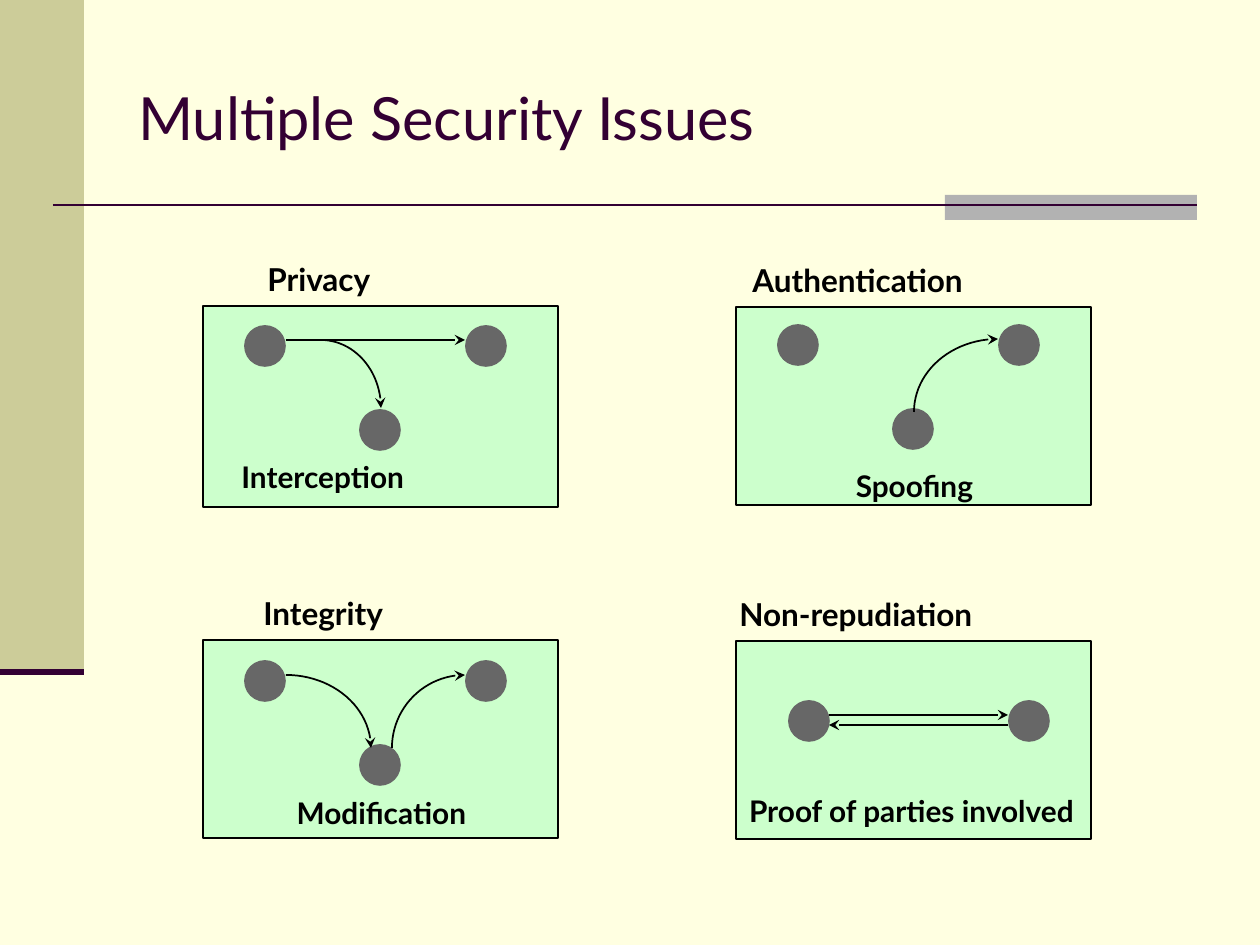
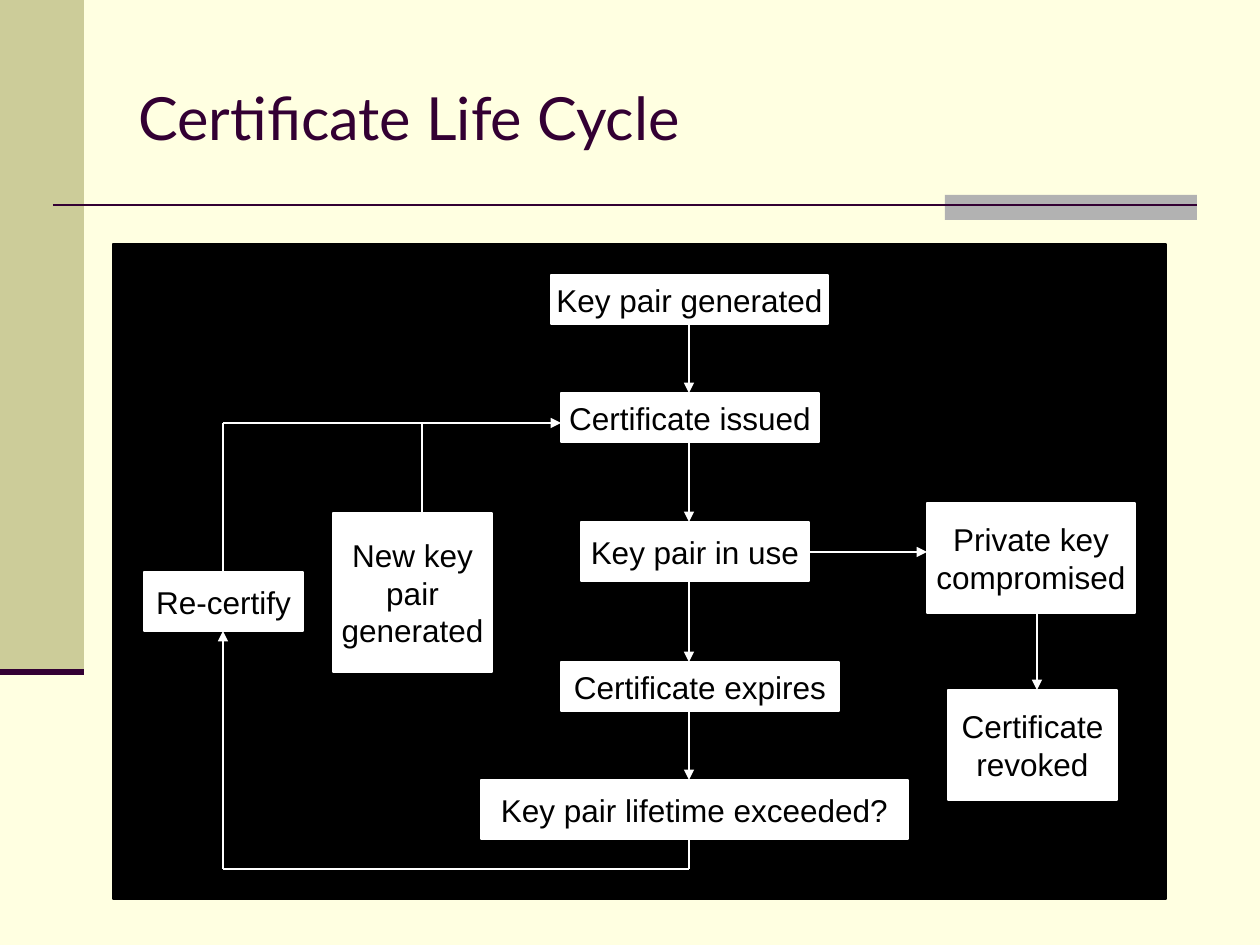
from math import cos, pi, sin

from lxml.etree import SubElement
from pptx import Presentation
from pptx.dml.color import RGBColor
from pptx.enum.shapes import MSO_CONNECTOR, MSO_SHAPE
from pptx.enum.text import MSO_ANCHOR, PP_ALIGN
from pptx.oxml.ns import qn
from pptx.util import Pt

SCALE = 914400 / 126
SLIDE_WIDTH, SLIDE_HEIGHT = 1260, 945

CREAM = "FFFFE1"
KHAKI = "CCCC99"
GREY = "B2B2B2"
PLUM = "330033"
MINT = "CCFFCC"
NODE_GREY = "676767"
BLACK = "000000"
WHITE = "FFFFFF"

PANEL_WIDTH = 355
NODE_SIZE = 40
ARC_STEPS = 24


def px(length):
    return round(length * SCALE)


def color(hex_string):
    return RGBColor.from_string(hex_string)


def paint_fill(fill, hex_string):
    fill.solid()
    fill.fore_color.rgb = color(hex_string)


def style_line(line, hex_string, width, arrow=None):
    line.color.rgb = color(hex_string)
    line.width = Pt(width)
    if arrow:
        properties = line._get_or_add_ln()
        SubElement(properties, qn("a:tailEnd"), type=arrow)


def add_preset(slide, kind, left, top, width, height, fill, outline=None, weight=1):
    shape = slide.shapes.add_shape(kind, px(left), px(top), px(width), px(height))
    shape.shadow.inherit = False
    paint_fill(shape.fill, fill)
    if outline:
        style_line(shape.line, outline, weight)
    else:
        shape.line.fill.background()
    return shape


def add_line(slide, start, end, hex_string, width, arrow=None):
    connector = slide.shapes.add_connector(
        MSO_CONNECTOR.STRAIGHT, px(start[0]), px(start[1]), px(end[0]), px(end[1])
    )
    style_line(connector.line, hex_string, width, arrow)
    SubElement(connector._element.spPr, qn("a:effectLst"))


def add_arc(slide, start, end, starts_flat):
    width, height = end[0] - start[0], end[1] - start[1]
    points = []
    for step in range(ARC_STEPS + 1):
        angle = step / ARC_STEPS * pi / 2
        eased, swept = 1 - cos(angle), sin(angle)
        across, down = (swept, eased) if starts_flat else (eased, swept)
        points.append((px(start[0] + width * across), px(start[1] + height * down)))
    builder = slide.shapes.build_freeform(*points[0])
    builder.add_line_segments(points[1:], close=False)
    arc = builder.convert_to_shape()
    arc.shadow.inherit = False
    arc.fill.background()
    style_line(arc.line, BLACK, 1, "stealth")


def write_text(shape, text, font_name, size, hex_string, bold=False, alignment=PP_ALIGN.LEFT):
    shape.text_frame.text = text
    for paragraph in shape.text_frame.paragraphs:
        paragraph.alignment = alignment
        paragraph.font.name = font_name
        paragraph.font.size = Pt(size)
        paragraph.font.bold = bold
        paragraph.font.color.rgb = color(hex_string)


def add_label(slide, left, top, width, height, text, size, hex_string, bold=True, alignment=PP_ALIGN.LEFT):
    label = slide.shapes.add_textbox(px(left), px(top), px(width), px(height))
    label.text_frame.word_wrap = True
    write_text(label, text, "Lato", size, hex_string, bold, alignment)
    return label


def add_titled_slide(presentation, title):
    slide = presentation.slides.add_slide(presentation.slide_layouts[6])
    paint_fill(slide.background.fill, CREAM)
    add_preset(slide, MSO_SHAPE.RECTANGLE, 0, 0, 84, 672, KHAKI)
    add_preset(slide, MSO_SHAPE.RECTANGLE, 945, 195, 252, 25, GREY)
    add_line(slide, (53, 205), (1197, 205), PLUM, 1.5)
    add_line(slide, (0, 672), (84, 672), PLUM, 3.5)
    heading = add_label(slide, 126, 38, 1071, 157, title, 34, PLUM, bold=False)
    heading.text_frame.vertical_anchor = MSO_ANCHOR.MIDDLE
    return slide


def add_issue_panel(slide, left, top, height, heading, caption, nodes, straights=(), arcs=()):
    def place(point):
        return left + point[0], top + point[1]

    heading_text, heading_left = heading
    caption_text, caption_left, caption_top, alignment = caption
    add_preset(slide, MSO_SHAPE.RECTANGLE, left, top, PANEL_WIDTH, height, MINT, BLACK)
    add_label(slide, left + heading_left, top - 52, PANEL_WIDTH, 50, heading_text, 18, BLACK)
    for node in nodes:
        add_preset(slide, MSO_SHAPE.OVAL, *place(node), NODE_SIZE, NODE_SIZE, NODE_GREY, NODE_GREY)
    for start, end in straights:
        add_line(slide, place(start), place(end), BLACK, 1, "stealth")
    for start, end, starts_flat in arcs:
        add_arc(slide, place(start), place(end), starts_flat)
    add_label(slide, left + caption_left, top + caption_top, PANEL_WIDTH, 48,
              caption_text, 17, BLACK, alignment=alignment)


def triangle_nodes(top):
    return [(42, top), (263, top), (157, top + 84)]


def build_security_issues(presentation):
    slide = add_titled_slide(presentation, "Multiple Security Issues")
    left_column, right_column = 203, 736
    add_issue_panel(
        slide, left_column, 306, 201, ("Privacy", 52),
        ("Interception", 26, 147, PP_ALIGN.LEFT), triangle_nodes(20),
        straights=[((83, 34), (262, 34))],
        arcs=[((118, 34), (178, 102), True)],
    )
    add_issue_panel(
        slide, right_column, 307, 198, ("Authentication", 4),
        ("Spoofing", 1, 155, PP_ALIGN.CENTER), triangle_nodes(18),
        arcs=[((178, 105), (262, 32), False)],
    )
    add_issue_panel(
        slide, left_column, 640, 198, ("Integrity", 48),
        ("Modification", 1, 149, PP_ALIGN.CENTER), triangle_nodes(21),
        arcs=[((83, 35), (168, 108), True), ((189, 108), (262, 35), False)],
    )
    add_issue_panel(
        slide, right_column, 641, 198, ("Non-repudiation", -9),
        ("Proof of parties involved", -2, 146, PP_ALIGN.CENTER), [(53, 60), (273, 60)],
        straights=[((93, 74), (272, 74)), ((272, 84), (93, 84))],
    )


def add_life_cycle(slide, left, top, width, height):
    spine, main_steps = 576, [
        ("Key pair generated", 438, 31, 277, 49),
        ("Certificate issued", 448, 149, 258, 49),
        ("Key pair in use", 468, 278, 228, 59),
        ("Certificate expires", 448, 418, 278, 49),
        ("Key pair lifetime exceeded?", 368, 536, 427, 59),
    ]
    side_steps = [
        ("Private key\ncompromised", 814, 259, 208, 110),
        ("Certificate\nrevoked", 835, 446, 169, 110),
        ("New key\npair\ngenerated", 220, 269, 159, 159),
        ("Re-certify", 31, 328, 159, 59),
    ]

    def connect(start, end, arrow=None):
        add_line(slide, (left + start[0], top + start[1]), (left + end[0], top + end[1]), WHITE, 0.75, arrow)

    add_preset(slide, MSO_SHAPE.RECTANGLE, left, top, width, height, BLACK, BLACK, 0.75)
    for text, step_left, step_top, step_width, step_height in main_steps + side_steps:
        step = add_preset(slide, MSO_SHAPE.RECTANGLE, left + step_left, top + step_top,
                          step_width, step_height, WHITE, WHITE, 0.75)
        step.text_frame.word_wrap = False
        step.text_frame.vertical_anchor = MSO_ANCHOR.MIDDLE
        write_text(step, text, "Arial", 18, BLACK, alignment=PP_ALIGN.CENTER)

    for upper, lower in zip(main_steps, main_steps[1:]):
        connect((spine, upper[2] + upper[4]), (spine, lower[2]), "triangle")
    connect((696, 308), (814, 308), "triangle")
    connect((924, 369), (924, 446), "triangle")

    renewal, loop_bottom, loop_top = 110, 625, 179
    connect((spine, 595), (spine, loop_bottom))
    connect((spine, loop_bottom), (renewal, loop_bottom))
    connect((renewal, loop_bottom), (renewal, 387), "triangle")
    connect((renewal, 328), (renewal, loop_top))
    connect((309, 269), (309, loop_top))
    connect((renewal, loop_top), (448, loop_top), "triangle")


def build_certificate_cycle(presentation):
    slide = add_titled_slide(presentation, "Certificate Life Cycle")
    add_life_cycle(slide, 113, 244, 1053, 655)


def main():
    presentation = Presentation()
    presentation.slide_width = px(SLIDE_WIDTH)
    presentation.slide_height = px(SLIDE_HEIGHT)
    build_security_issues(presentation)
    build_certificate_cycle(presentation)
    presentation.save("out.pptx")


if __name__ == "__main__":
    main()
